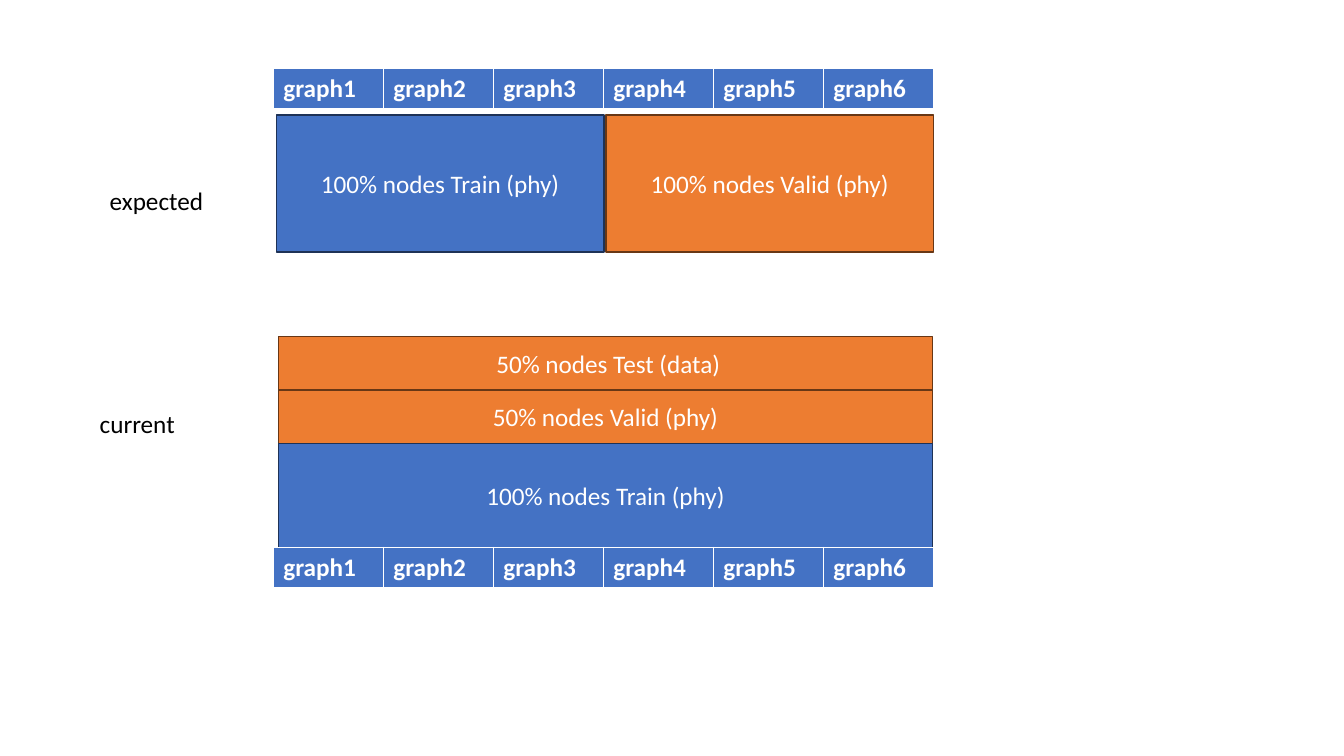
from lxml import etree
from pptx import Presentation
from pptx import util as u
from pptx.dml.color import RGBColor
from pptx.enum import shapes, text
from pptx.oxml import ns

COLORS = {
    "train": "4472C4",
    "train_line": "1E3256",
    "held_out": "ED7D31",
    "held_out_line": "683715",
    "white": "FFFFFF",
    "black": "000000",
}
GRAPHS = [f"graph{n}" for n in range(1, 7)]
BORDERS = {"lnL": 1, "lnR": 1, "lnT": 1, "lnB": 3}


def rgb(name):
    return RGBColor.from_string(COLORS[name])


def write(tf, content, color="white", bold=False, align=text.PP_ALIGN.LEFT):
    p = tf.paragraphs[0]
    p.alignment = align
    r = p.add_run()
    r.text = content
    r.font.name = "Calibri"
    r.font.size = u.Pt(18)
    r.font.bold = bold
    r.font.color.rgb = rgb(color)


def add_block(s, content, role, left, top, width, height):
    sp = s.shapes.add_shape(shapes.MSO_SHAPE.RECTANGLE, u.Inches(left),
                            u.Inches(top), u.Inches(width), u.Inches(height))
    sp.shadow.inherit = False
    sp.fill.solid()
    sp.fill.fore_color.rgb = rgb(role)
    sp.line.color.rgb = rgb(f"{role}_line")
    sp.line.width = u.Pt(1)
    tf = sp.text_frame
    tf.word_wrap = True
    tf.vertical_anchor = text.MSO_ANCHOR.MIDDLE
    write(tf, content, align=text.PP_ALIGN.CENTER)


def add_label(s, content, left, top, width):
    sp = s.shapes.add_textbox(u.Inches(left), u.Inches(top),
                              u.Inches(width), u.Inches(0.4))
    tf = sp.text_frame
    tf.word_wrap = False
    tf.auto_size = text.MSO_AUTO_SIZE.SHAPE_TO_FIT_TEXT
    write(tf, content, color="black")


def set_borders(cell):
    """Draw white cell borders; they must come before the fill in the XML."""
    props = cell._tc.get_or_add_tcPr()
    for i, (side, points) in enumerate(BORDERS.items()):
        ln = etree.Element(ns.qn(f"a:{side}"), w=str(u.Pt(points)))
        fill = etree.SubElement(ln, ns.qn("a:solidFill"))
        etree.SubElement(fill, ns.qn("a:srgbClr"), val=COLORS["white"])
        props.insert(i, ln)


def add_graph_row(s, top):
    frame = s.shapes.add_table(1, len(GRAPHS), u.Inches(2.71), u.Inches(top),
                               u.Inches(6.55), u.Inches(0.41))
    for cell, graph in zip(frame.table.iter_cells(), GRAPHS):
        cell.fill.solid()
        cell.fill.fore_color.rgb = rgb("train")
        set_borders(cell)
        write(cell.text_frame, graph, bold=True)


def main():
    prs = Presentation()
    prs.slide_width, prs.slide_height = u.Inches(13.33), u.Inches(7.5)
    s = prs.slides.add_slide(prs.slide_layouts[6])

    add_label(s, "expected", 0.99, 1.79, 1.14)
    add_block(s, "100% nodes Train (phy)", "train", 2.74, 1.14, 3.25, 1.36)
    add_block(s, "100% nodes Valid (phy)", "held_out", 6.01, 1.14, 3.25, 1.36)
    add_graph_row(s, 0.68)

    add_label(s, "current", 0.89, 4, 0.96)
    top = 3.34
    for content, role, height in [
        (" 50% nodes Test (data)", "held_out", 0.53),
        ("50% nodes Valid (phy)", "held_out", 0.53),
        ("100% nodes Train (phy)", "train", 1.03),
    ]:
        add_block(s, content, role, 2.76, top, 6.49, height)
        top += height
    add_graph_row(s, top)

    prs.save("out.pptx")


if __name__ == "__main__":
    main()
